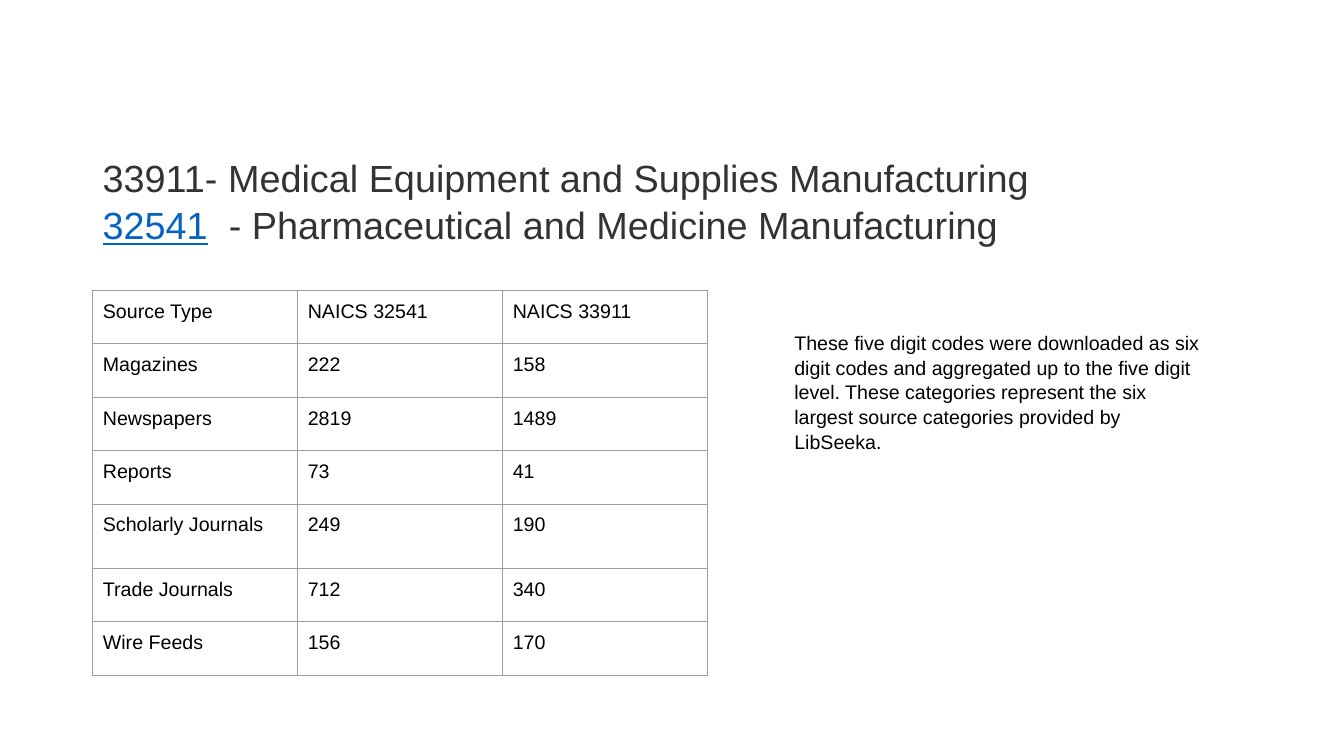
from lxml import etree
from pptx import Presentation
from pptx.dml.color import RGBColor
from pptx.enum.text import MSO_ANCHOR
from pptx.oxml.ns import qn
from pptx.util import Inches, Pt

TOP = MSO_ANCHOR.TOP
FONT = "Arial"
INSET = 0.1
COLORS = {"title": "333333", "code": "0563C1", "text": "000000", "border": "9E9E9E"}

TITLE = [
    [("33911- Medical Equipment and Supplies Manufacturing", "title")],
    [("32541", "code"), ("  - Pharmaceutical and Medicine Manufacturing", "title")],
]
SOURCES = [
    ("Source Type", "NAICS 32541", "NAICS 33911"),
    ("Magazines", "222", "158"),
    ("Newspapers", "2819", "1489"),
    ("Reports", "73", "41"),
    ("Scholarly Journals", "249", "190"),
    ("Trade Journals", "712", "340"),
    ("Wire Feeds", "156", "170"),
]
ROW_HEIGHT = 0.53
TALL_ROWS = {"Scholarly Journals": 0.64}
NOTE = ("These five digit codes were downloaded as six digit codes and "
        "aggregated up to the five digit level. These categories represent "
        "the six largest source categories provided by LibSeeka.")


def add_run(p, text, size, color):
    r = p.add_run()
    r.text = text
    r.font.name = FONT
    r.font.size = Pt(size)
    r.font.color.rgb = RGBColor.from_string(COLORS[color])
    return r


def set_margins(target, top=INSET):
    target.margin_left = target.margin_right = target.margin_bottom = Inches(INSET)
    target.margin_top = Inches(top)


def add_text_frame(slide, left, top, width, height, top_inset=INSET):
    sp = slide.shapes.add_textbox(*map(Inches, (left, top, width, height)))
    tf = sp.text_frame
    tf.word_wrap = True
    tf.vertical_anchor = TOP
    set_margins(tf, top_inset)
    return tf


def add_title(slide, left, top, width, height):
    tf = add_text_frame(slide, left, top, width, height, top_inset=0.2)
    for i, runs in enumerate(TITLE):
        p = tf.add_paragraph() if i else tf.paragraphs[0]
        p.line_spacing = 1.04
        for text, color in runs:
            r = add_run(p, text, 27, color)
            r.font.underline = color == "code"


def set_borders(cell):
    tc_pr = cell._tc.get_or_add_tcPr()
    for i, side in enumerate(("lnL", "lnR", "lnT", "lnB")):
        ln = etree.Element(qn(f"a:{side}"), w=str(Pt(0.75)))
        fill = etree.SubElement(ln, qn("a:solidFill"))
        etree.SubElement(fill, qn("a:srgbClr"), val=COLORS["border"])
        tc_pr.insert(i, ln)


def add_source_table(slide, left, top, width):
    heights = [TALL_ROWS.get(row[0], ROW_HEIGHT) for row in SOURCES]
    n_cols = len(SOURCES[0])
    table = slide.shapes.add_table(
        len(SOURCES), n_cols, *map(Inches, (left, top, width, sum(heights)))).table
    table.first_row = table.horz_banding = False
    for col in table.columns:
        col.width = Inches(width / n_cols)
    for row, height, values in zip(table.rows, heights, SOURCES):
        row.height = Inches(height)
        for cell, value in zip(row.cells, values):
            cell.fill.background()
            cell.vertical_anchor = TOP
            set_margins(cell)
            set_borders(cell)
            add_run(cell.text_frame.paragraphs[0], value, 14, "text")


def add_note(slide, left, top, width, height):
    p = add_text_frame(slide, left, top, width, height).paragraphs[0]
    p.line_spacing = 1.05
    add_run(p, NOTE, 14, "text")


def main():
    prs = Presentation()
    prs.slide_width, prs.slide_height = Inches(13.33), Inches(7.5)
    slide = prs.slides.add_slide(prs.slide_layouts[6])
    # Heading with the two industry codes
    add_title(slide, 0.92, 1.32, 11.5, 5.03)
    # Counts by source type
    add_source_table(slide, 0.92, 2.88, 6.1)
    # Explanation beside the table
    add_note(slide, 7.78, 3.17, 4.24, 0.5)
    prs.save("out.pptx")


if __name__ == "__main__":
    main()
